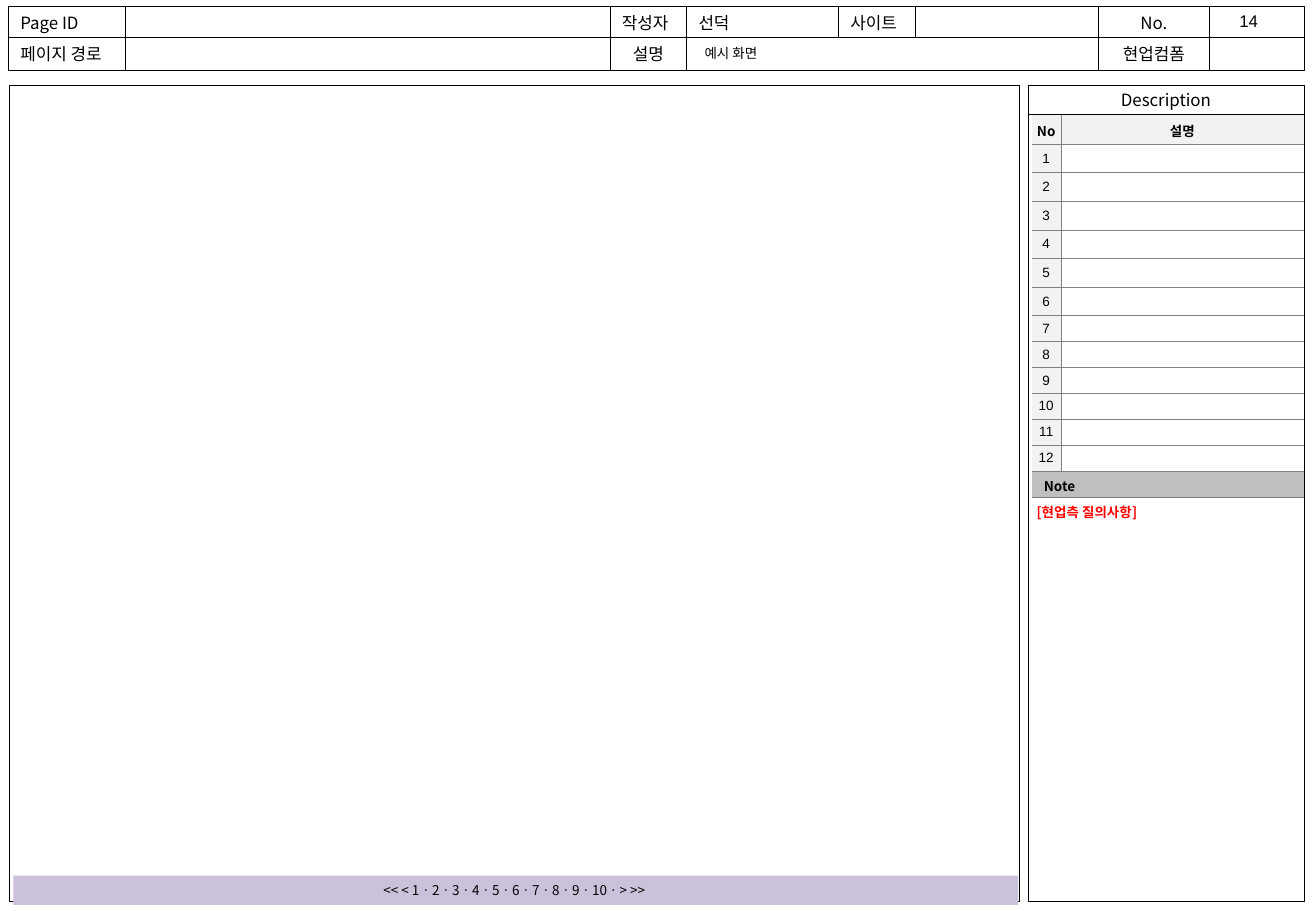
"""Builds a page specification slide with a header grid, a canvas and a description panel."""
import lxml.etree
import pptx
import pptx.dml.color
import pptx.enum.shapes
import pptx.enum.text
import pptx.oxml.ns
import pptx.util

Inches = pptx.util.Inches
Pt = pptx.util.Pt
qn = pptx.oxml.ns.qn
RGBColor = pptx.dml.color.RGBColor
ALIGN = pptx.enum.text.PP_ALIGN
ANCHOR = pptx.enum.text.MSO_ANCHOR

BLACK = RGBColor(0x00, 0x00, 0x00)
WHITE = RGBColor(0xFF, 0xFF, 0xFF)
RED = RGBColor(0xFF, 0x00, 0x00)
GRAY = RGBColor(0x80, 0x80, 0x80)
LIGHT_GRAY = RGBColor(0xF2, 0xF2, 0xF2)
NOTE_GRAY = RGBColor(0xBF, 0xBF, 0xBF)
LAVENDER = RGBColor(0xCC, 0xC1, 0xDA)

HEADER_ROWS = [
    (0.05, [
        (0.07, 0.97, "Page ID", ALIGN.LEFT),
        (1.03, 3.99, "", ALIGN.LEFT),
        (5.02, 0.63, "작성자", ALIGN.LEFT),
        (5.65, 1.25, "선덕", ALIGN.LEFT),
        (6.9, 0.63, "사이트", ALIGN.LEFT),
        (7.53, 1.87, "", ALIGN.LEFT),
        (9.04, 0.91, "No.", ALIGN.CENTER),
        (9.95, 0.78, "", ALIGN.LEFT),
    ]),
    (0.31, [
        (0.07, 0.97, "페이지 경로", ALIGN.LEFT),
        (1.03, 3.99, "", ALIGN.LEFT),
        (5.02, 0.63, "설명", ALIGN.CENTER),
        (5.65, 5.08, "", ALIGN.LEFT),
        (9.04, 0.91, "현업컴폼", ALIGN.CENTER),
    ]),
]
ITEM_COUNT = 12
ROW_HEIGHTS = [1.65 / 7] * 7 + [1.49 / 7] * 7 + [1.3]


class PageSpecification:
    """Holds the style and the current slide."""

    font = "Noto Sans CJK KR"
    number_font = "Arial"
    line_width = Pt(0.25)

    def __init__(self, presentation):
        """Add a blank slide to the presentation."""
        self.slide = presentation.slides.add_slide(presentation.slide_layouts[6])

    def label(self, frame, text, size, align=ALIGN.LEFT, color=BLACK, bold=False, font=None):
        """Put one run into the first paragraph of a text frame."""
        paragraph = frame.paragraphs[0]
        paragraph.alignment = align
        run = paragraph.add_run()
        run.text = text
        run.font.name = font or self.font
        run.font.size = Pt(size)
        run.font.bold = bold
        run.font.color.rgb = color
        east_asian = lxml.etree.SubElement(run._r.get_or_add_rPr(), qn("a:ea"))
        east_asian.set("typeface", font or self.font)
        return paragraph

    def box(self, left, top, width, height, text="", align=ALIGN.CENTER,
            size=10, fill=WHITE, outlined=True):
        """Draw a rectangle with an optional label."""
        shape = self.slide.shapes.add_shape(
            pptx.enum.shapes.MSO_SHAPE.RECTANGLE,
            Inches(left), Inches(top), Inches(width), Inches(height))
        shape.shadow.inherit = False
        shape.fill.solid()
        shape.fill.fore_color.rgb = fill
        if outlined:
            shape.line.color.rgb = BLACK
            shape.line.width = self.line_width
        else:
            shape.line.fill.background()
        if text:
            shape.text_frame.vertical_anchor = ANCHOR.MIDDLE
            self.label(shape.text_frame, text, size, align)

    def text(self, left, top, width, height, text, size, font=None, wrap=True):
        """Place a text box."""
        shape = self.slide.shapes.add_textbox(
            Inches(left), Inches(top), Inches(width), Inches(height))
        shape.text_frame.word_wrap = wrap
        self.label(shape.text_frame, text, size, font=font)

    def cell(self, cell, fill, sides, text="", anchor=ANCHOR.MIDDLE, **style):
        """Fill a table cell, draw the named borders and add its text."""
        cell.fill.solid()
        cell.fill.fore_color.rgb = fill
        cell.vertical_anchor = anchor
        cell.margin_left = cell.margin_right = Inches(0.04)
        cell.margin_top = cell.margin_bottom = Inches(0.04)
        properties = cell._tc.get_or_add_tcPr()
        for index, side in enumerate("LRTB"):
            border = lxml.etree.Element(qn("a:ln" + side), w=str(self.line_width))
            if side in sides:
                solid = lxml.etree.SubElement(border, qn("a:solidFill"))
                lxml.etree.SubElement(solid, qn("a:srgbClr"), val=str(GRAY))
            else:
                lxml.etree.SubElement(border, qn("a:noFill"))
            properties.insert(index, border)
        if text:
            return self.label(cell.text_frame, text, 8, **style)
        paragraph = cell.text_frame.paragraphs[0]
        lxml.etree.SubElement(paragraph._p, qn("a:endParaRPr"), sz="800")
        return paragraph

    def description_table(self, left, top, widths, heights):
        """Draw the numbered description table with its note area."""
        frame = self.slide.shapes.add_table(
            len(heights), len(widths), Inches(left), Inches(top),
            Inches(sum(widths)), Inches(sum(heights)))
        table = frame.table
        table.first_row = table.horz_banding = False
        for column, width in zip(table.columns, widths):
            column.width = Inches(width)
        for row, height in zip(table.rows, heights):
            row.height = Inches(height)
        for column, (heading, sides) in enumerate([("No", "RB"), ("설명", "LB")]):
            self.cell(table.cell(0, column), LIGHT_GRAY, sides, heading,
                      align=ALIGN.CENTER, bold=True)
        for number in range(1, ITEM_COUNT + 1):
            self.cell(table.cell(number, 0), LIGHT_GRAY, "RTB", str(number),
                      align=ALIGN.CENTER, font=self.number_font)
            self.cell(table.cell(number, 1), WHITE, "LTB")
        note_row = ITEM_COUNT + 1
        for row in (note_row, note_row + 1):
            table.cell(row, 0).merge(table.cell(row, 1))
        note = self.cell(table.cell(note_row, 0), NOTE_GRAY, "TB", "Note", bold=True)
        indent = note._p.get_or_add_pPr()
        indent.set("marL", str(Inches(0.1)))
        indent.set("indent", str(Inches(-0.04)))
        self.cell(table.cell(note_row + 1, 0), WHITE, "T", "[현업측 질의사항]",
                  anchor=ANCHOR.TOP, color=RED, bold=True)


def main():
    """Build and save the slide."""
    presentation = pptx.Presentation()
    presentation.slide_width = Inches(10.83)
    presentation.slide_height = Inches(7.5)
    page = PageSpecification(presentation)
    for top, fields in HEADER_ROWS:
        for left, width, label, align in fields:
            page.box(left, top, width, 0.27, label, align)
    page.box(8.46, 0.94, 2.27, 6.48)
    page.box(8.46, 0.7, 2.27, 0.24, "Description")
    page.box(0.08, 0.7, 8.31, 6.72)
    page.text(10.1, 0.04, 0.38, 0.27, "14", 10, font=page.number_font, wrap=False)
    page.description_table(8.49, 0.95, [0.24, 2], ROW_HEIGHTS)
    page.text(5.7, 0.32, 3.23, 0.24, "예시 화면", 8)
    page.box(0.11, 7.21, 8.27, 0.24, "<< < 1ㆍ2ㆍ3ㆍ4ㆍ5ㆍ6ㆍ7ㆍ8ㆍ9ㆍ10ㆍ> >> ",
             size=8, fill=LAVENDER, outlined=False)
    presentation.save("out.pptx")


if __name__ == "__main__":
    main()
